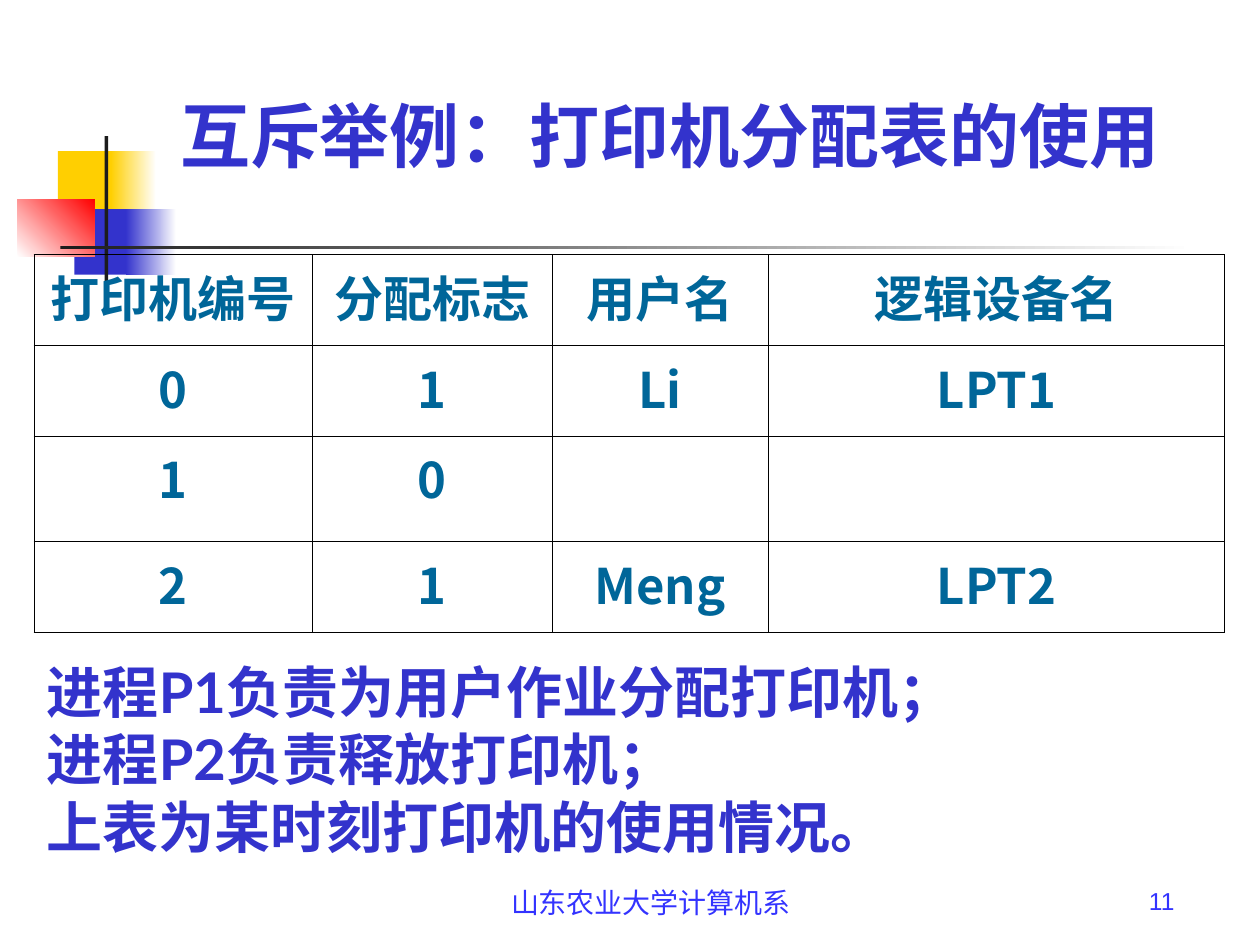
from typing import NamedTuple, Optional

from lxml.etree import SubElement
from pptx import Presentation
from pptx.dml.color import RGBColor
from pptx.enum.shapes import MSO_SHAPE
from pptx.enum.text import MSO_ANCHOR, MSO_AUTO_SIZE, PP_ALIGN
from pptx.oxml.ns import qn
from pptx.util import Inches, Pt

WHITE = RGBColor(0xFF, 0xFF, 0xFF)
BLACK = RGBColor(0x00, 0x00, 0x00)
YELLOW = RGBColor(0xFF, 0xCF, 0x01)
BLUE = RGBColor(0x33, 0x33, 0xCC)
RED = RGBColor(0xFF, 0x00, 0x00)
DARK = RGBColor(0x1C, 0x1C, 0x1C)
TEAL = RGBColor(0x00, 0x66, 0x99)
FOOTER_BLUE = RGBColor(0x33, 0x33, 0xFF)


class Block(NamedTuple):
    """A decorative rectangle, solid or fading from color to fade."""
    left: float
    top: float
    width: float
    height: float
    color: RGBColor
    fade: Optional[RGBColor] = None
    angle: float = 0


class Style(NamedTuple):
    font: str
    size: float
    color: RGBColor
    bold: bool
    align: PP_ALIGN


BLOCKS = [
    Block(0.46, 1.2, 0.48, 0.52, YELLOW),
    Block(0.88, 1.2, 0.36, 0.52, YELLOW, WHITE),
    Block(0.59, 1.66, 0.46, 0.52, BLUE),
    Block(1, 1.66, 0.4, 0.52, BLUE, WHITE),
    Block(0.14, 1.58, 0.61, 0.46, WHITE, RED, 45),
    Block(0.83, 1.08, 0.03, 1.15, DARK),
    Block(0.48, 1.95, 9, 0.03, DARK, WHITE),
]

TITLE_STYLE = Style("Lato", 40, BLUE, True, PP_ALIGN.CENTER)
BODY_STYLE = Style("Lato", 32, BLUE, True, PP_ALIGN.LEFT)
CELL_STYLE = Style("Noto Sans CJK SC", 28, TEAL, True, PP_ALIGN.CENTER)
FOOTER_STYLE = Style("Arial", 16, FOOTER_BLUE, False, PP_ALIGN.CENTER)
NUMBER_STYLE = Style("Arial", 14, FOOTER_BLUE, False, PP_ALIGN.RIGHT)

BODY_LINES = [
    "进程P1负责为用户作业分配打印机；",
    "进程P2负责释放打印机；",
    "上表为某时刻打印机的使用情况。",
]
COLUMN_WIDTHS = [2.21, 1.9, 1.72, 3.62]
ROW_HEIGHTS = [0.72, 0.72, 0.84, 0.72]
PRINTER_ROWS = [
    ["打印机编号", "分配标志", "用户名", "逻辑设备名"],
    ["0", "1", "Li", "LPT1"],
    ["1", "0", "", ""],
    ["2", "1", "Meng", "LPT2"],
]


def format_paragraph(paragraph, style: Style) -> None:
    paragraph.alignment = style.align
    paragraph.space_before = Pt(0)
    font = paragraph.font
    font.name = style.font
    font.size = Pt(style.size)
    font.bold = style.bold
    font.color.rgb = style.color
    properties = paragraph._p.pPr.find(qn("a:defRPr"))
    SubElement(properties, qn("a:ea"), typeface=style.font)


def fill_text(shape, lines: list[str], style: Style, box: tuple, anchor=MSO_ANCHOR.TOP) -> None:
    shape.left, shape.top, shape.width, shape.height = map(Inches, box)
    frame = shape.text_frame
    frame.word_wrap = True
    frame.auto_size = MSO_AUTO_SIZE.NONE
    frame.vertical_anchor = anchor
    frame.text = "\n".join(lines)
    for paragraph in frame.paragraphs:
        properties = paragraph._p.get_or_add_pPr()
        properties.set("marL", "0")
        properties.set("indent", "0")
        SubElement(properties, qn("a:buNone"))
        format_paragraph(paragraph, style)


def add_block(slide, block: Block) -> None:
    shape = slide.shapes.add_shape(MSO_SHAPE.RECTANGLE, *map(Inches, block[:4]))
    shape.shadow.inherit = False
    shape.line.fill.background()
    if block.fade is None:
        shape.fill.solid()
        shape.fill.fore_color.rgb = block.color
        return
    shape.fill.gradient()
    shape.fill.gradient_angle = block.angle
    for stop, color in zip(shape.fill.gradient_stops, (block.color, block.fade)):
        stop.color.rgb = color


def add_borders(cell, color: RGBColor, width: float) -> None:
    properties = cell._tc.get_or_add_tcPr()
    for index, side in enumerate(("lnL", "lnR", "lnT", "lnB")):
        line = properties.makeelement(qn(f"a:{side}"), {"w": str(Pt(width))})
        solid = SubElement(line, qn("a:solidFill"))
        SubElement(solid, qn("a:srgbClr"), val=str(color))
        properties.insert(index, line)


def add_printer_table(slide) -> None:
    frame = slide.shapes.add_table(
        len(ROW_HEIGHTS), len(COLUMN_WIDTHS), Inches(0.27), Inches(2.02),
        Inches(sum(COLUMN_WIDTHS)), Inches(sum(ROW_HEIGHTS)))
    table = frame.table
    table.first_row = table.horz_banding = False
    for column, width in zip(table.columns, COLUMN_WIDTHS):
        column.width = Inches(width)
    for row, height, texts in zip(table.rows, ROW_HEIGHTS, PRINTER_ROWS):
        row.height = Inches(height)
        for cell, text in zip(row.cells, texts):
            cell.fill.background()
            add_borders(cell, BLACK, 0.45)
            cell.text = text
            format_paragraph(cell.text_frame.paragraphs[0], CELL_STYLE)


def add_label(slide, text: str, style: Style, box: tuple) -> None:
    fill_text(slide.shapes.add_textbox(0, 0, 0, 0), [text], style, box)


def main() -> None:
    presentation = Presentation()
    presentation.slide_width, presentation.slide_height = Inches(10), Inches(7.5)
    slide = presentation.slides.add_slide(presentation.slide_layouts[1])

    for block in BLOCKS:
        add_block(slide, block)
    add_label(slide, "山东农业大学计算机系", FOOTER_STYLE, (3.58, 6.98, 3.17, 0.52))
    add_label(slide, "11", NUMBER_STYLE, (6.92, 6.98, 2.5, 0.52))
    add_printer_table(slide)

    fill_text(slide.shapes.title, ["互斥举例：打印机分配表的使用"], TITLE_STYLE,
              (1.06, 0.68, 8.51, 0.77), MSO_ANCHOR.MIDDLE)
    body = slide.placeholders[1]
    fill_text(body, BODY_LINES, BODY_STYLE, (0.27, 5.17, 9.17, 1.7))
    body.fill.solid()
    body.fill.fore_color.rgb = WHITE

    presentation.save("out.pptx")


if __name__ == "__main__":
    main()
